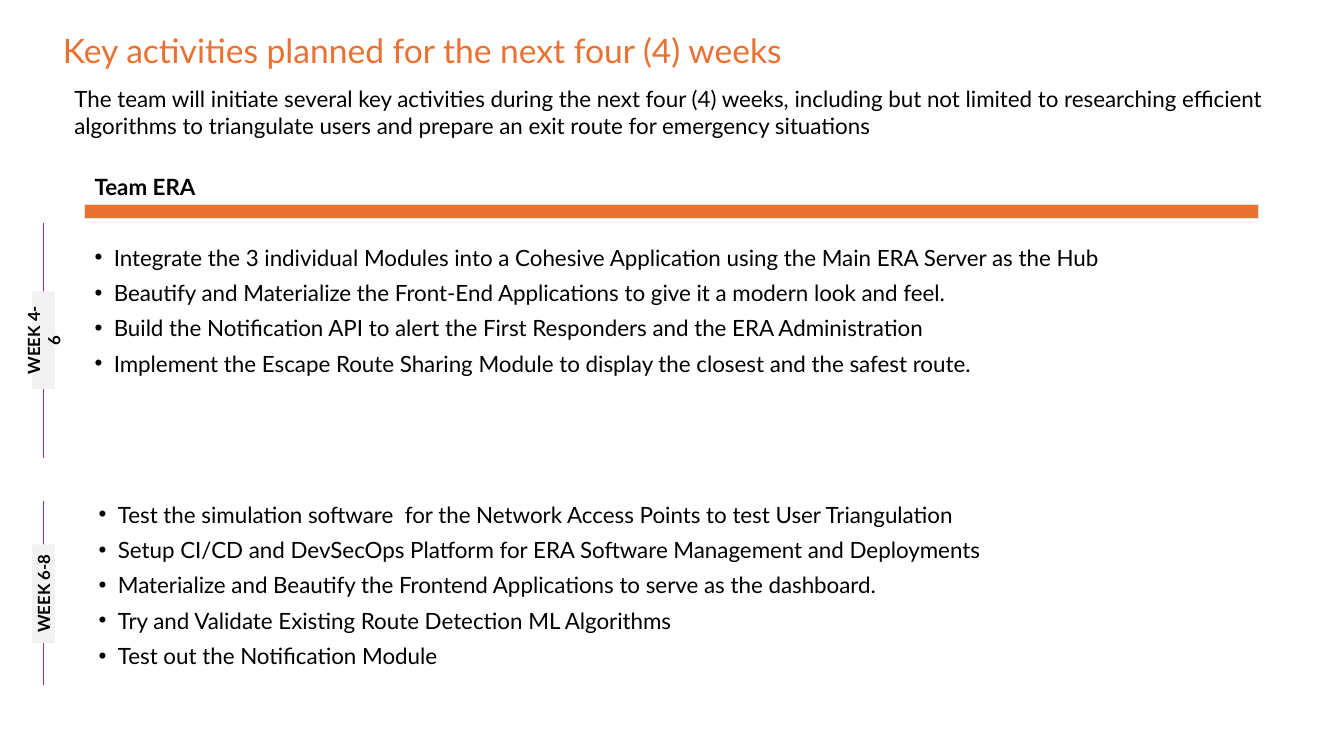
from lxml.etree import SubElement
from pptx import Presentation
from pptx.dml.color import RGBColor
from pptx.enum.shapes import MSO_CONNECTOR as Connector, MSO_SHAPE as Shape
from pptx.enum.text import MSO_ANCHOR as Anchor, PP_ALIGN as Align
from pptx.oxml.ns import qn
from pptx.util import Pt

ORANGE = RGBColor(0xE9, 0x71, 0x32)
PURPLE = RGBColor(0xA0, 0x2B, 0x93)
BLACK = RGBColor(0, 0, 0)
LABEL_GREY = RGBColor(0xF2, 0xF2, 0xF2)
EDGE_GREY = RGBColor(0xE2, 0xE2, 0xE2)
INSET = 7.2

# Per period: label, (label top, height), (line top, bottom), (list left, top, height), activities
PERIODS = [
    ("WEEK 4-6", (208.1, 69.8), (159.1, 326.9), (60.5, 167, 110), [
        "Integrate the 3 individual Modules into a Cohesive Application using the Main ERA Server as the Hub",
        "Beautify and Materialize the Front-End Applications to give it a modern look and feel.",
        "Build the Notification API to alert the First Responders and the ERA Administration",
        "Implement the Escape Route Sharing Module to display the closest and the safest route.",
    ]),
    ("WEEK 6-8", (388.8, 70.6), (357.8, 489.6), (63.4, 350.6, 161), [
        "Test the simulation software  for the Network Access Points to test User Triangulation",
        "Setup CI/CD and DevSecOps Platform for ERA Software Management and Deployments",
        "Materialize and Beautify the Frontend Applications to serve as the dashboard.",
        "Try and Validate Existing Route Detection ML Algorithms",
        "Test out the Notification Module",
    ]),
]


def fill_text(shape, lines, size=16, color=BLACK, bold=False, bullets=False,
              align=Align.LEFT, anchor=Anchor.TOP, inset_x=INSET, inset_y=INSET):
    frame = shape.text_frame
    frame.word_wrap = True
    frame.vertical_anchor = anchor
    frame.margin_left = frame.margin_right = Pt(inset_x)
    frame.margin_top = frame.margin_bottom = Pt(inset_y)
    frame.text = "\n".join(lines)
    for index, para in enumerate(frame.paragraphs):
        para.alignment = align
        if index:
            para.space_before = Pt(6)
        if bullets:
            props = para._p.get_or_add_pPr()
            props.set("marL", str(Pt(13.7)))
            props.set("indent", str(-Pt(13.7)))
            SubElement(props, qn("a:buFont"), typeface="Arial")
            SubElement(props, qn("a:buChar"), char="•")
        para.font.name = "Lato"
        para.font.size = Pt(size)
        para.font.bold = bold
        para.font.color.rgb = color


def add_bar(left, top, width, height, fill):
    bar = page.shapes.add_shape(Shape.RECTANGLE, Pt(left), Pt(top), Pt(width), Pt(height))
    bar.shadow.inherit = False
    bar.fill.solid()
    bar.fill.fore_color.rgb = fill
    bar.line.fill.background()
    return bar


deck = Presentation()
deck.slide_width, deck.slide_height = Pt(960), Pt(540)
page = deck.slides.add_slide(deck.slide_layouts[5])

# Title and introduction
title = page.shapes.title
title.left, title.top, title.width, title.height = Pt(44.9), Pt(18), Pt(870), Pt(65.5)
fill_text(title, ["Key activities planned for the next four (4) weeks"],
          size=24, color=ORANGE, inset_x=0, inset_y=3.6)
intro = page.shapes.add_textbox(Pt(46.1), Pt(57.6), Pt(870), Pt(65.5))
fill_text(intro, ["The team will initiate several key activities during the next four (4) weeks, "
                  "including but not limited to researching efficient algorithms to triangulate "
                  "users and prepare an exit route for emergency situations"], inset_y=3.6)

# Team heading with its orange bar
team_bar = add_bar(60.5, 146.2, 838.8, 10, ORANGE)
team_bar.line.color.rgb = EDGE_GREY
team_bar.line.width = Pt(0.75)
team = page.shapes.add_textbox(Pt(60.5), Pt(116.6), Pt(838.8), Pt(33.8))
fill_text(team, ["Team ERA"], bold=True)

# Periods: vertical line, rotated label, activity list
for name, (top, height), (line_top, line_bottom), (left, list_top, list_height), activities in PERIODS:
    line = page.shapes.add_connector(Connector.STRAIGHT, Pt(31), Pt(line_top), Pt(31), Pt(line_bottom))
    line.line.color.rgb = PURPLE
    line.line.width = Pt(1)
    SubElement(line._element.spPr, qn("a:effectLst"))

    label = add_bar(23, top, 16.2, height, LABEL_GREY)
    fill_text(label, [name], size=12, bold=True, align=Align.CENTER, anchor=Anchor.MIDDLE)
    label.text_frame._txBody.bodyPr.set("vert", "vert270")

    box = page.shapes.add_textbox(Pt(left), Pt(list_top), Pt(899.3 - left), Pt(list_height))
    fill_text(box, activities, bullets=True)

deck.save("out.pptx")
